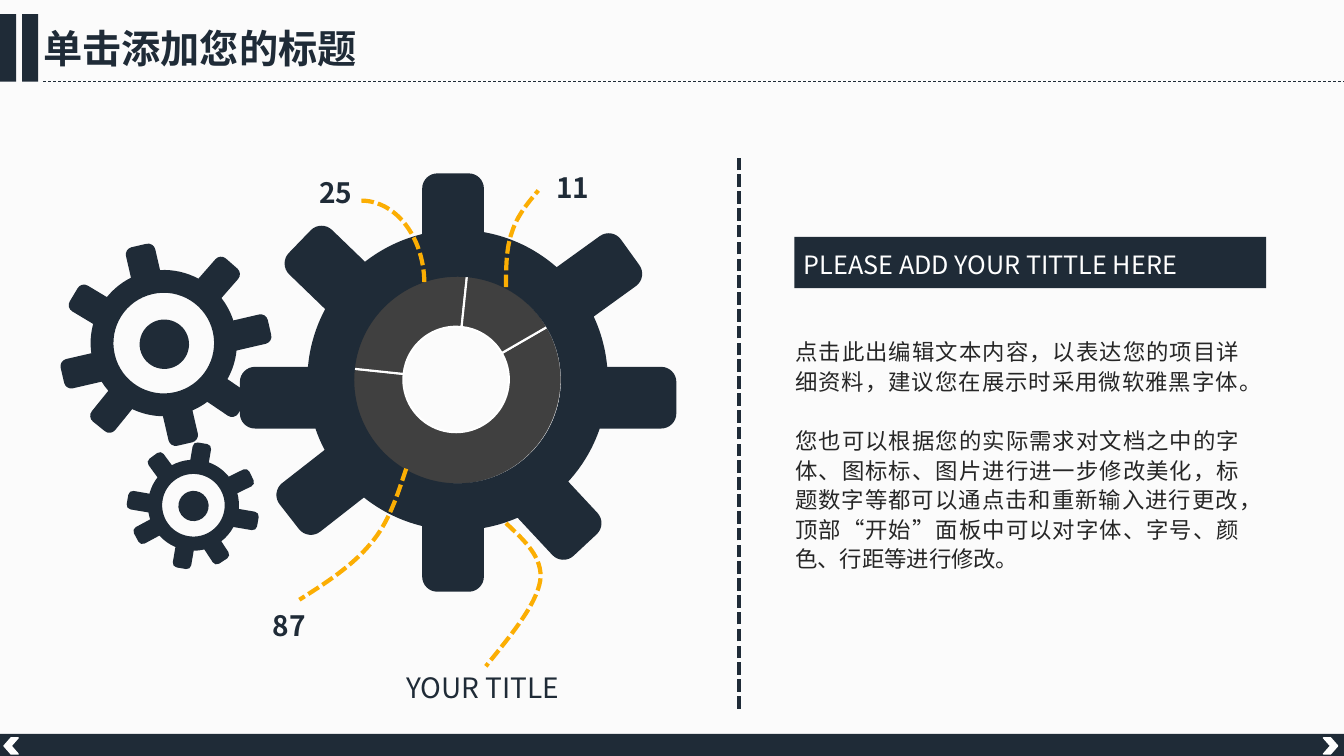
from dataclasses import dataclass
from itertools import chain
from math import asin, cos, degrees, radians, sin, tan

from lxml.etree import SubElement
from pptx import Presentation
from pptx.chart.data import CategoryChartData
from pptx.dml.color import RGBColor
from pptx.enum.chart import XL_CHART_TYPE
from pptx.enum.dml import MSO_LINE
from pptx.enum.shapes import MSO_CONNECTOR, MSO_SHAPE
from pptx.enum.text import MSO_ANCHOR, MSO_AUTO_SIZE, PP_ALIGN
from pptx.oxml.ns import qn
from pptx.util import Inches, Pt

FONT = "Noto Sans CJK SC"
NAVY, AMBER, WHITE, PAPER = "1F2B37", "FBAE03", "FFFFFF", "FBFBFB"
RING, INK = "404040", "262626"
COLUMNS, ROWS = 133.33, 75
CELL = Inches(0.1)
BODY, HOLE, TOOTH_WIDTH, CORNER = 14.9, 10.25, 6.12, 1.5

Point = tuple[float, float]
Step = tuple[Point, ...]


@dataclass(frozen=True)
class Box:
    left: float
    top: float
    width: float
    height: float

    def emu(self) -> tuple[int, ...]:
        """Return the box in slide units."""
        return tuple(round(n * CELL) for n in (self.left, self.top, self.width, self.height))


@dataclass(frozen=True)
class Tooth:
    angle: float
    reach: float
    offset: float


@dataclass(frozen=True)
class Gear:
    center: Point
    scale: float
    turn: float
    hub: float = 0


@dataclass(frozen=True)
class Panel:
    box: Box
    fill: str = NAVY
    kind: MSO_SHAPE = MSO_SHAPE.RECTANGLE
    turn: float = 0
    line: str = ""
    alpha: int = 100


@dataclass(frozen=True)
class Label:
    box: Box
    text: str
    size: float = 20
    color: str = NAVY
    bold: bool = True
    wrap: bool = False


TEETH = (Tooth(0, 21.7, 1.75), Tooth(47, 20.6, 1.9), Tooth(90, 21, 0.45), Tooth(142, 21.5, -0.4),
         Tooth(180, 21.6, -1.75), Tooth(224, 20.8, -1), Tooth(270, 20.5, -0.45), Tooth(324.2, 21.3, -0.27))
GEARS = (Gear((45.45, 37.95), 1, 0), Gear((16.3, 34.15), 0.487, -13, 4.9),
         Gear((19.2, 50.2), 0.303, 9.7, 3))
BACKDROP = Panel(Box(0, 0, COLUMNS, ROWS), PAPER, alpha=95)
FRAME = (Panel(Box(0, 1.4, 1.6, 6.7)), Panel(Box(2.2, 1.4, 1.6, 6.7)),
         Panel(Box(0, 72.8, COLUMNS, 2.3)),
         Panel(Box(131.3, 73.2, 1.4, 1.6), WHITE, MSO_SHAPE.CHEVRON, 0, WHITE),
         Panel(Box(0.4, 73.2, 1.4, 1.6), WHITE, MSO_SHAPE.CHEVRON, 180, WHITE))
BANNER = Panel(Box(78.8, 23.5, 46.8, 5.1))
LEADERS = (
    ((50.2, 28.5), (50.2, 26.6), (50.2, 24.6), (50.8, 23), (51.3, 21.4), (52.4, 20.1), (53.4, 18.9)),
    ((40.3, 46.5), (39.4, 49.2), (38.6, 51.8), (36.8, 53.9), (35, 56.1), (32.4, 57.8), (29.7, 59.5)),
    ((50.2, 51.9), (52, 53.6), (53.9, 55.3), (53.6, 57.6), (53.2, 60), (50.7, 63), (48.2, 66.1)),
)
LABELS = (
    Label(Box(30.7, 16.95, 5.5, 4.4), "25"),
    Label(Box(54.2, 16.4, 5.5, 4.4), "11"),
    Label(Box(26.1, 59.9, 5.5, 4.4), "87"),
    Label(Box(39.3, 66.05, 17.7, 4.4), "YOUR TITLE", bold=False),
    Label(Box(78.75, 24.2, 47.9, 4), "PLEASE ADD YOUR TITTLE HERE", 18, WHITE, False, True),
)
TITLE = Label(Box(3.3, 1.9, 40.8, 5.7), "单击添加您的标题", 28, wrap=True)
ADVICE = (
    "点击此出编辑文本内容，以表达您的项目详细资料，建议您在展示时采用微软雅黑字体。",
    "您也可以根据您的实际需求对文档之中的字体、图标标、图片进行进一步修改美化，标题数字等都可以通点击和重新输入进行更改，"
    "顶部“开始”面板中可以对字体、字号、颜色、行距等进行修改。",
)


def rgb(value: str) -> RGBColor:
    """Turn a hex string into a colour."""
    return RGBColor.from_string(value)


def arc(center: Point, radius: float, start: float, end: float) -> list[Step]:
    """Return a line to the arc's start and one curve to its end."""
    a, b = radians(start), radians(end)
    pull = 4 / 3 * tan((b - a) / 4)
    spots = ((cos(a), sin(a)), (cos(a) - pull * sin(a), sin(a) + pull * cos(a)),
             (cos(b) + pull * sin(b), sin(b) - pull * cos(b)), (cos(b), sin(b)))
    points = tuple((center[0] + radius * x, center[1] + radius * y) for x, y in spots)
    return [points[:1], points[1:]]


def turned(steps: list[Step], angle: float, scale: float = 1) -> list[Step]:
    """Turn and scale steps around the origin."""
    c, s = scale * cos(radians(angle)), scale * sin(radians(angle))
    return [tuple((x * c - y * s, x * s + y * c) for x, y in step) for step in steps]


def tooth_outline(tooth: Tooth, following: float) -> list[Step]:
    """Trace a rounded tooth and the body arc up to the following tooth."""
    half, tip = TOOTH_WIDTH / 2, tooth.reach - CORNER
    corners = (arc((tip, tooth.offset - half + CORNER), CORNER, -90, 0)
               + arc((tip, tooth.offset + half - CORNER), CORNER, 0, 90))
    end = tooth.angle + degrees(asin((tooth.offset + half) / BODY))
    return turned(corners, tooth.angle) + arc((0, 0), BODY, end, following)


def gear_outline() -> list[Step]:
    """Trace the rim of a gear of scale one around the origin."""
    starts = [t.angle + degrees(asin((t.offset - TOOTH_WIDTH / 2) / BODY)) for t in TEETH]
    return list(chain.from_iterable(map(tooth_outline, TEETH, starts[1:] + [starts[0] + 360])))


def hole_outline() -> list[Step]:
    """Trace the round hole of a gear of scale one."""
    quarters = [arc((0, 0), HOLE, start, start - 90) for start in (360, 270, 180, 90)]
    return quarters[0][:1] + [quarter[1] for quarter in quarters]


def add_outline(shapes, contours: list[list[Step]], close: bool):
    """Build a freeform from contours whose three-point steps are curves."""
    contours = [[tuple((x * CELL, y * CELL) for x, y in step) for step in steps] for steps in contours]
    builder = shapes.build_freeform(*contours[0][0][0], scale=1.0)
    for index, steps in enumerate(contours):
        if index:
            builder.move_to(*steps[0][0])
        builder.add_line_segments(list(chain.from_iterable(steps[1:])), close=close)
    shape = builder.convert_to_shape()
    lines = iter(list(shape._element.iter(qn("a:lnTo"))))
    for step in chain.from_iterable(steps[1:] for steps in contours):
        drawn = [next(lines) for _ in step]
        if len(drawn) == 3:
            curve = drawn[0].getparent().makeelement(qn("a:cubicBezTo"), {})
            drawn[0].addprevious(curve)
            for line in drawn:
                curve.append(line[0])
                line.getparent().remove(line)
    shape.shadow.inherit = False
    return shape


def add_panel(shapes, panel: Panel) -> None:
    """Draw a filled preset shape."""
    shape = shapes.add_shape(panel.kind, *panel.box.emu())
    shape.shadow.inherit = False
    shape.rotation = panel.turn
    shape.fill.solid()
    shape.fill.fore_color.rgb = rgb(panel.fill)
    if panel.alpha < 100:
        tint = shape._element.spPr.find(qn("a:solidFill"))[0]
        SubElement(tint, qn("a:alpha"), val=str(panel.alpha * 1000))
    if panel.line:
        shape.line.color.rgb = rgb(panel.line)
        shape.line.width = Pt(1)
    else:
        shape.line.fill.background()


def add_gear(shapes, gear: Gear) -> None:
    """Draw a gear with its round hole and its hub."""
    shape = add_outline(shapes, [turned(steps, 90, gear.scale) for steps in (hole_outline(), gear_outline())], True)
    shape.left = round(gear.center[0] * CELL - shape.width / 2)
    shape.top = round(gear.center[1] * CELL - shape.height / 2)
    shape.rotation = 270 + gear.turn
    shape.fill.solid()
    shape.fill.fore_color.rgb = rgb(NAVY)
    shape.line.fill.background()
    if gear.hub:
        left, top = (n - gear.hub / 2 for n in gear.center)
        add_panel(shapes, Panel(Box(left, top, gear.hub, gear.hub), kind=MSO_SHAPE.OVAL, turn=gear.turn))


def style_leader(leader) -> None:
    """Give a leader its dashed amber stroke."""
    leader.shadow.inherit = False
    leader.fill.background()
    leader.line.color.rgb = rgb(AMBER)
    leader.line.width = Pt(3)
    leader.line.dash_style = MSO_LINE.SQUARE_DOT


def add_rule(shapes, start: Point, end: Point, width: float, dash: MSO_LINE) -> None:
    """Draw a straight dashed rule."""
    rule = shapes.add_connector(MSO_CONNECTOR.STRAIGHT, *(round(n * CELL) for n in start + end))
    rule.line.color.rgb = rgb(NAVY)
    rule.line.width = Pt(width)
    rule.line.dash_style = dash
    SubElement(rule._element.spPr, qn("a:effectLst"))


def add_run(paragraph, text: str, size: float, color: str, bold: bool = False) -> None:
    """Append a formatted run."""
    run = paragraph.add_run()
    run.text = text
    run.font.size, run.font.bold, run.font.name = Pt(size), bold, FONT
    run.font.color.rgb = rgb(color)
    SubElement(run._r.get_or_add_rPr(), qn("a:ea"), typeface=FONT)


def fill_label(holder, label: Label) -> None:
    """Place a text holder and write its label."""
    holder.left, holder.top, holder.width, holder.height = label.box.emu()
    frame = holder.text_frame
    frame.word_wrap, frame.auto_size = label.wrap, MSO_AUTO_SIZE.SHAPE_TO_FIT_TEXT
    frame.vertical_anchor = MSO_ANCHOR.TOP
    frame.paragraphs[0].alignment = PP_ALIGN.LEFT
    add_run(frame.paragraphs[0], label.text, label.size, label.color, label.bold)


def add_advice(shapes) -> None:
    """Write the justified paragraphs."""
    frame = shapes.add_textbox(*Box(77.9, 32.83, 46.08, 24.7).emu()).text_frame
    frame.word_wrap = True
    for index, text in enumerate(ADVICE):
        paragraph = frame.add_paragraph() if index else frame.paragraphs[0]
        paragraph.alignment, paragraph.line_spacing = PP_ALIGN.JUSTIFY, 1.1
        if index:
            paragraph.space_before = Pt(21.2)
        add_run(paragraph, text, 16, INK)


def add_ring(shapes) -> None:
    """Draw the doughnut chart inside the large gear."""
    data = CategoryChartData()
    data.categories = ["1", "2", "3"]
    data.add_series("Series 1", (60, 25, 15))
    chart = shapes.add_chart(XL_CHART_TYPE.DOUGHNUT, *Box(27.5, 25.8, 35.5, 23.7).emu(), data).chart
    chart.has_legend = chart.has_title = False
    chart.font.size, chart.font.name = Pt(10), FONT
    chart.font.color.rgb = rgb("000000")
    plot = chart.plots[0]
    plot.vary_by_categories = True
    for index in range(3):
        share = plot.series[0].points[index].format
        share.fill.solid()
        share.fill.fore_color.rgb = rgb(RING)
        share.line.color.rgb = rgb(WHITE)
        share.line.width = Pt(1.5)
    for tag, value in (("c:firstSliceAng", "60"), ("c:holeSize", "56")):
        plot._element.find(qn(tag)).set("val", value)


def main() -> None:
    """Build and save the slide."""
    deck = Presentation()
    deck.slide_width, deck.slide_height = round(COLUMNS * CELL), ROWS * CELL
    slide = deck.slides.add_slide(deck.slide_layouts[5])
    shapes = slide.shapes
    slide.background.fill.solid()
    slide.background.fill.fore_color.rgb = rgb(WHITE)
    add_panel(shapes, BACKDROP)
    shapes._spTree.append(shapes.title._element)
    fill_label(shapes.title, TITLE)
    add_rule(shapes, (4.3, 8.1), (COLUMNS, 8.1), 0.5, MSO_LINE.DASH)
    for panel in FRAME:
        add_panel(shapes, panel)
    add_ring(shapes)
    for gear in GEARS:
        add_gear(shapes, gear)
    add_rule(shapes, (73.3, 70.3), (73.3, 15.4), 3, MSO_LINE.SQUARE_DOT)
    style_leader(shapes.add_shape(MSO_SHAPE.ARC, *Box(29.6, 19.9, 12.5, 16.5).emu()))
    for knots in LEADERS:
        style_leader(add_outline(shapes, [[knots[:1], knots[1:4], knots[4:]]], False))
    add_panel(shapes, BANNER)
    for label in LABELS:
        fill_label(shapes.add_textbox(*label.box.emu()), label)
    add_advice(shapes)
    deck.save("out.pptx")


if __name__ == "__main__":
    main()
